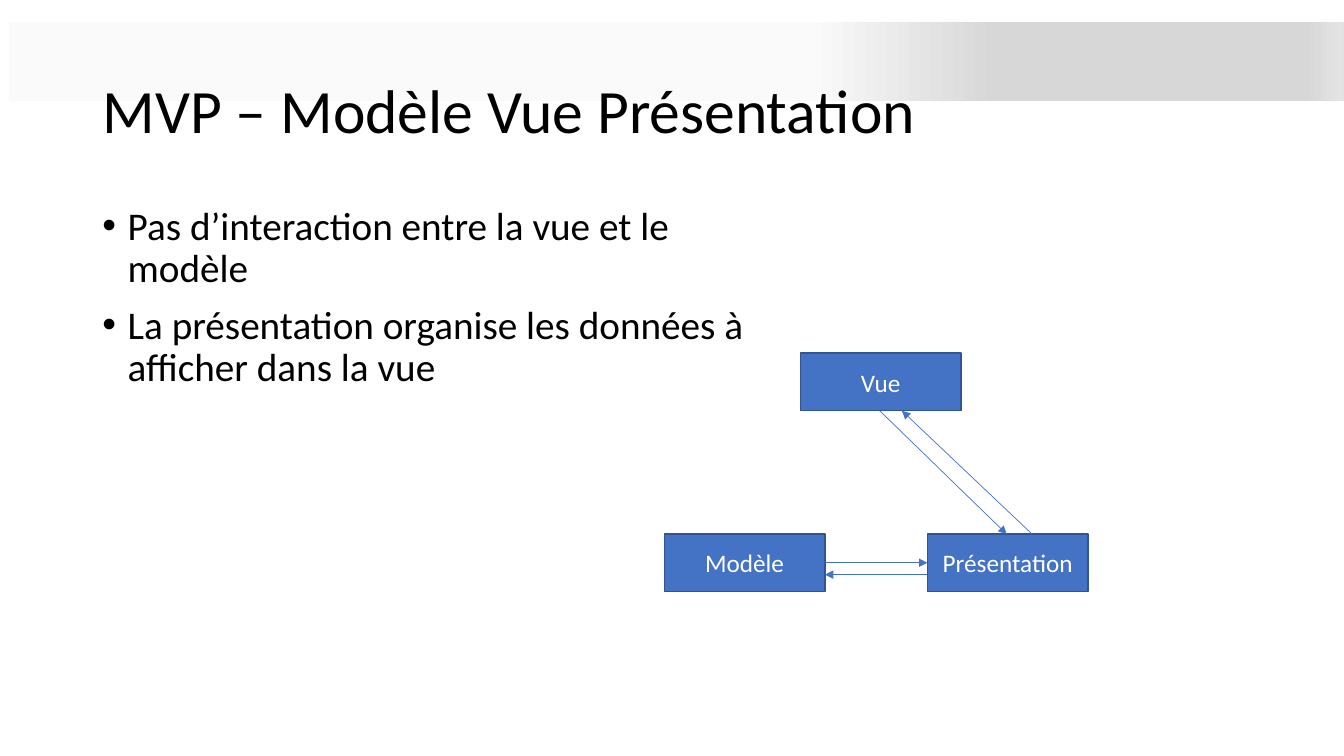
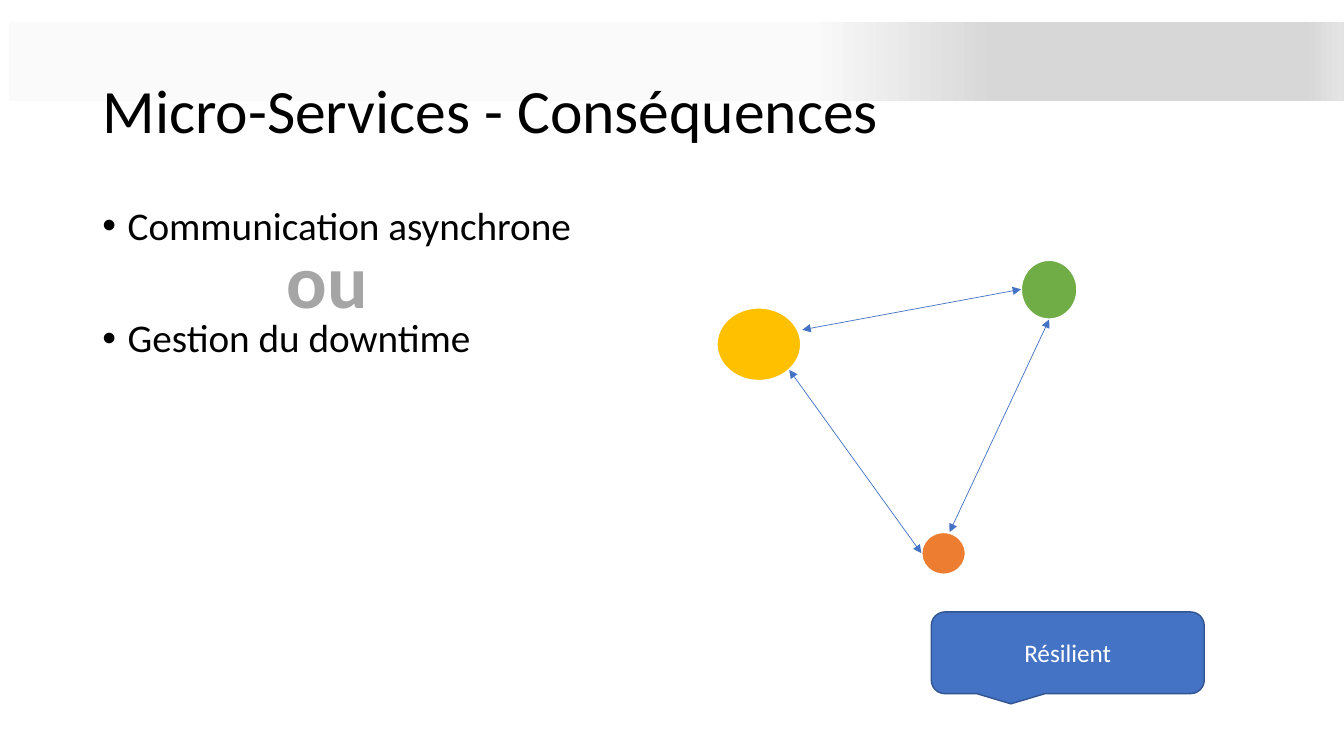
import pptx
import pptx.util
import pptx.dml.color
import pptx.enum.shapes
import pptx.enum.text
import pptx.oxml
import pptx.oxml.ns
from lxml import etree

Cm = pptx.util.Cm
Pt = pptx.util.Pt
KIND = pptx.enum.shapes.MSO_SHAPE
ALIGN = pptx.enum.text.PP_ALIGN
ANCHOR = pptx.enum.text.MSO_ANCHOR
FIT = pptx.enum.text.MSO_AUTO_SIZE
qn = pptx.oxml.ns.qn

HUES = {
    "text": "000000", "white": "FFFFFF", "blue": "4472C4", "edge": "325491",
    "gold": "FFC000", "green": "70AD47", "orange": "ED7D31", "gray": "A5A5A5",
    "pale": "FAFAFA", "silver": "D7D7D7", "end": "E4E4E4",
}
STOPS = [(60, "pale"), (74, "silver"), (97, "silver"), (100, "end")]


def color(name):
    return pptx.dml.color.RGBColor.from_string(HUES[name])


class Deck:
    font = "Calibri"

    def __init__(self):
        self.file = pptx.Presentation()
        self.file.slide_width = Cm(33.87)
        self.file.slide_height = Cm(19.05)
        self.base = self.file.slide_layouts[5]
        self.slide = None

    def page(self, title):
        first = self.slide is None
        self.slide = self.file.slides.add_slide(self.base)
        if first:
            self.band()
        head = self.slide.shapes.title
        head.left, head.top, head.width, head.height = map(Cm, (2.33, 1.01, 29.21, 3.68))
        frame = head.text_frame
        frame.auto_size = FIT.NONE
        frame.word_wrap = True
        frame.vertical_anchor = ANCHOR.MIDDLE
        para = frame.paragraphs[0]
        para.alignment = ALIGN.LEFT
        para.line_spacing = 0.9
        self.run(para, title, 44)

    def band(self):
        bar = self.shape(KIND.RECTANGLE, (0.23, 0.56, 33.63, 1.98), "pale")
        bar.fill.gradient()
        bar.fill.gradient_angle = 0
        stops = bar.element.spPr.find(qn("a:gradFill")).find(qn("a:gsLst"))
        for old in list(stops):
            stops.remove(old)
        for place, name in STOPS:
            stop = etree.SubElement(stops, qn("a:gs"), pos=str(place * 1000))
            etree.SubElement(stop, qn("a:srgbClr"), val=HUES[name])
        self.base.shapes.element.insert(2, bar.element)

    def run(self, para, text, size, hue="text", bold=False):
        run = para.add_run()
        run.text = text
        run.font.name = self.font
        run.font.size = Pt(size)
        run.font.bold = bold
        run.font.color.rgb = color(hue)

    def list(self, width, items, gap=10):
        box = self.slide.shapes.add_textbox(Cm(2.33), Cm(5.08), Cm(width), Cm(12.09))
        frame = box.text_frame
        frame.word_wrap = True
        for i, text in enumerate(items):
            para = frame.add_paragraph() if i else frame.paragraphs[0]
            props = para._p.get_or_add_pPr()
            props.set("marL", str(Cm(0.64)))
            props.set("indent", str(-Cm(0.64)))
            etree.SubElement(props, qn("a:buFont"), typeface="Arial")
            etree.SubElement(props, qn("a:buChar"), char="•")
            para.line_spacing = 0.9
            para.space_before = Pt(gap if i else 0)
            self.run(para, text, 28)

    def shape(self, kind, place, fill, line=None, weight=1):
        item = self.slide.shapes.add_shape(kind, *map(Cm, place))
        item.shadow.inherit = False
        item.fill.solid()
        item.fill.fore_color.rgb = color(fill)
        if line:
            item.line.color.rgb = color(line)
            item.line.width = Pt(weight)
        else:
            item.line.fill.background()
        return item

    def box(self, text, place, kind=KIND.RECTANGLE):
        frame = self.shape(kind, place, "blue", "edge").text_frame
        frame.word_wrap = True
        frame.vertical_anchor = ANCHOR.MIDDLE
        para = frame.paragraphs[0]
        para.alignment = ALIGN.CENTER
        self.run(para, text, 18, "white")

    def node(self, place, fill):
        self.shape(KIND.OVAL, place, fill, "white", 1.5)

    def arrow(self, start, stop, both=False):
        link = self.slide.shapes.add_connector(
            pptx.enum.shapes.MSO_CONNECTOR.STRAIGHT, *map(Cm, start + stop))
        link.line.color.rgb = color("blue")
        link.line.width = Pt(0.5)
        line = link.line._get_or_add_ln()
        for end in ("a:headEnd", "a:tailEnd") if both else ("a:tailEnd",):
            etree.SubElement(line, qn(end), type="triangle")
        etree.SubElement(link.element.spPr, qn("a:effectLst"))

    def word(self, text, place):
        frame = self.slide.shapes.add_textbox(*map(Cm, place)).text_frame
        frame.word_wrap = False
        frame.auto_size = FIT.SHAPE_TO_FIT_TEXT
        para = frame.paragraphs[0]
        para.alignment = ALIGN.CENTER
        self.run(para, text, 54, "gray", True)


def main():
    deck = Deck()

    deck.page("MVP – Modèle Vue Présentation")
    deck.list(16.66, ["Pas d’interaction entre la vue et le modèle",
                      "La présentation organise les données à afficher dans la vue"])
    for text, left, top in [("Vue", 20.17, 8.9), ("Modèle", 16.74, 13.46),
                            ("Présentation", 23.37, 13.46)]:
        deck.box(text, (left, top, 4.05, 1.45))
    for start, stop in [((22.17, 10.35), (25.37, 13.46)),
                        ((23.37, 14.48), (20.79, 14.48)),
                        ((26.01, 13.46), (22.73, 10.35)),
                        ((20.79, 14.18), (23.37, 14.18))]:
        deck.arrow(start, stop)

    deck.page("Micro-Services - Conséquences")
    deck.list(15.52, ["Communication asynchrone", "Gestion du downtime"], 50)
    deck.node((18.06, 7.75, 2.13, 1.85), "gold")
    deck.node((25.73, 6.55, 1.42, 1.5), "green")
    deck.node((23.22, 13.41, 1.12, 1.07), "orange")
    for start, stop in [((20.22, 8.31), (25.73, 7.29)),
                        ((19.89, 9.32), (23.22, 13.94)),
                        ((26.44, 8.05), (23.93, 13.41))]:
        deck.arrow(start, stop, True)
    deck.box("Résilient", (23.47, 15.42, 6.88, 2.06), KIND.ROUNDED_RECTANGULAR_CALLOUT)
    deck.word("ou", (6.96, 5.74, 2.59, 2.57))

    deck.file.save("out.pptx")


if __name__ == "__main__":
    main()
